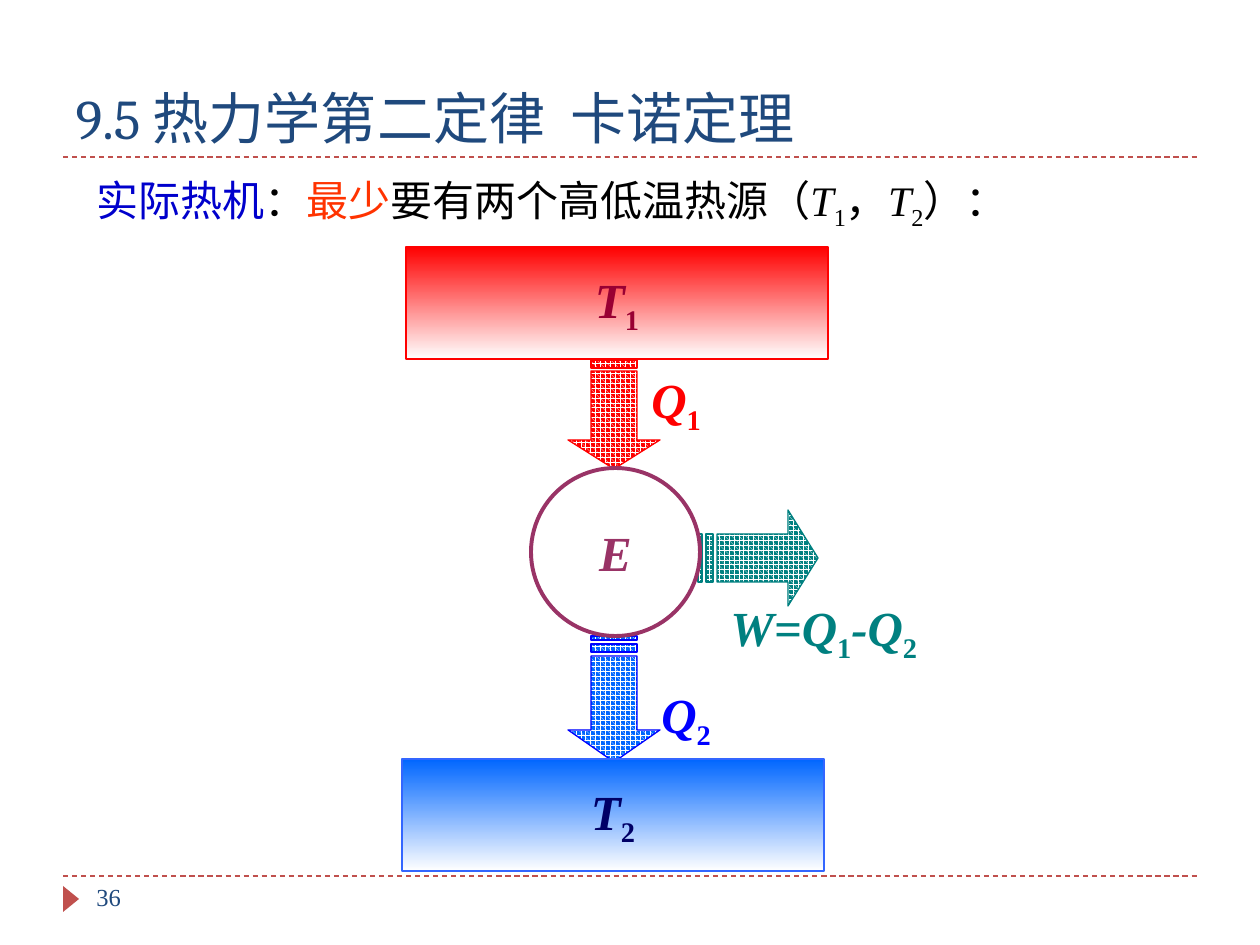
from lxml import etree
from pptx import Presentation
from pptx import util as u
from pptx.dml.color import RGBColor
from pptx.enum import dml, shapes, text
from pptx.oxml.ns import qn

PX = 914400 / 126
SERIF = "Times New Roman"


def px(*nums):
    """Turn pixel lengths into EMU."""
    return [u.Emu(round(n * PX)) for n in nums]


def tint(code):
    """Turn a hex string into a colour."""
    return RGBColor.from_string(code)


def mark(hue, *parts):
    """Alternate italic symbols with upright subscripts."""
    return [(part, hue, "is"[n % 2]) for n, part in enumerate(parts)]


class Page:
    """Style and current slide, with one method for each kind of element."""

    def __init__(self, deck):
        """Add a title-only slide."""
        self.slide = deck.slides.add_slide(deck.slide_layouts[5])
        self.items = self.slide.shapes

    def letter(self, frame, runs, size, bold=False, face=SERIF):
        """Fill the first paragraph run by run."""
        para = frame.paragraphs[0]
        for words, hue, kind in runs:
            run = para.add_run()
            run.text = words
            font = run.font
            font.name, font.size, font.bold = face, u.Pt(size), bold
            font.italic = kind == "i"
            font.color.rgb = tint(hue)
            if kind == "s":
                run._r.get_or_add_rPr().set("baseline", "-25000")
        return para

    def title(self, box, words, hue):
        """Place the title placeholder."""
        item = self.items.title
        item.left, item.top, item.width, item.height = px(*box)
        frame = item.text_frame
        frame.vertical_anchor = text.MSO_ANCHOR.BOTTOM
        para = self.letter(frame, [(words, hue, "")], 32, face="Cambria")
        para.alignment = text.PP_ALIGN.LEFT

    def label(self, box, runs, size=28, bold=True, wrap=False):
        """Add a text box."""
        frame = self.items.add_textbox(*px(*box)).text_frame
        frame.word_wrap = wrap
        self.letter(frame, runs, size, bold)

    def rule(self, y, hue):
        """Add a dashed line across the slide."""
        line = self.items.add_connector(
            shapes.MSO_CONNECTOR.STRAIGHT, *px(63, y, 1197, y))
        line.line.color.rgb = tint(hue)
        line.line.width = u.Pt(0.75)
        line.line.dash_style = dml.MSO_LINE.DASH
        etree.SubElement(line._element.spPr, qn("a:effectLst"))

    def shape(self, kind, box, fill, edge=None, width=0.75, runs=(), fade=False):
        """Add a preset shape with centred text."""
        item = self.items.add_shape(kind, *px(*box))
        item.shadow.inherit = False
        if fade:
            item.fill.gradient()
            item.fill.gradient_angle = 270
            for stop, hue, spot in zip(item.fill.gradient_stops, (fill, "FFFFFF"), (0, 1)):
                stop.color.rgb = tint(hue)
                stop.position = spot
        else:
            item.fill.solid()
            item.fill.fore_color.rgb = tint(fill)
        if edge:
            item.line.color.rgb = tint(edge)
            item.line.width = u.Pt(width)
        else:
            item.line.fill.background()
        if runs:
            frame = item.text_frame
            frame.word_wrap = False
            frame.vertical_anchor = text.MSO_ANCHOR.MIDDLE
            self.letter(frame, runs, 28, True).alignment = text.PP_ALIGN.CENTER
        return item

    def arrow(self, start, mid, size, half, fill, edge, down=True):
        """Add a striped arrow, with steps of 1/32 of its length."""
        unit = size / 32
        wing = 2 * half
        rings = [[(24, -wing), (24, -half), (5, -half), (5, half),
                  (24, half), (24, wing), (32, 0)]]
        rings += [[(a, -half), (a, half), (b, half), (b, -half)]
                  for a, b in ((2, 4), (0, 1))]
        pen = None
        for ring in rings:
            spots = [(start + a * unit, mid + c) for a, c in ring]
            if down:
                spots = [(x, y) for y, x in spots]
            if pen is None:
                pen = self.items.build_freeform(*spots[0], scale=PX)
            else:
                pen.move_to(*spots[0])
            pen.add_line_segments(spots[1:], close=True)
        item = pen.convert_to_shape()
        item.shadow.inherit = False
        item.fill.patterned()
        item.fill.pattern = dml.MSO_PATTERN.SPHERE
        item.fill.fore_color.rgb = tint("FFFFFF")
        item.fill.back_color.rgb = tint(fill)
        item.line.color.rgb = tint(edge)
        item.line.width = u.Pt(0.75)


def main():
    """Build the heat engine slide."""
    deck = Presentation()
    deck.slide_width, deck.slide_height = px(1260, 945)
    page = Page(deck)
    kinds = shapes.MSO_SHAPE
    navy, black, teal, plum = "1F497D", "000000", "008080", "993366"

    for y in (876, 157):
        page.rule(y, "C0504D")
    page.shape(kinds.ISOSCELES_TRIANGLE, (58, 891, 26, 16), "C0504D").rotation = 90
    page.title((63, 31, 1134, 126), "9.5 热力学第二定律  卡诺定理", navy)
    page.label((84, 876, 273, 50), [("36", navy, "")], 14, False, True)
    page.label((84, 168, 966, 63), [
        ("实际热机", "0000CC", ""), ("：", black, ""), ("最少", "FF3300", ""),
        ("要有两个高低温热源（", black, ""), *mark(black, "T", "1"),
        ("，", black, ""), *mark(black, "T", "2"), ("）：", black, ""),
    ], 24, False, True)

    page.arrow(698, 558, 120, 24, teal, teal, down=False)
    page.label((718, 591, 218, 72), mark(teal, "W=Q", "1", "-Q", "2"))
    page.arrow(353, 614, 116, 23, "FF0000", "FF0000")
    page.label((649, 678, 77, 72), mark("0000FF", "Q", "2"))
    page.label((639, 363, 77, 72), mark("FF0000", "Q", "1"))
    page.arrow(636, 614, 126, 23, "0066FF", "0000FF")
    page.shape(kinds.OVAL, (531, 468, 169, 168), "FFFFFF", plum, 2.25, mark(plum, "E"))
    page.shape(kinds.RECTANGLE, (406, 247, 422, 112), "FF0000", "FF0000",
               runs=mark("990033", "T", "1"), fade=True)
    page.shape(kinds.RECTANGLE, (402, 759, 422, 112), "0066FF", "3366FF",
               runs=mark("000066", "T", "2"), fade=True)
    deck.save("out.pptx")


if __name__ == "__main__":
    main()
